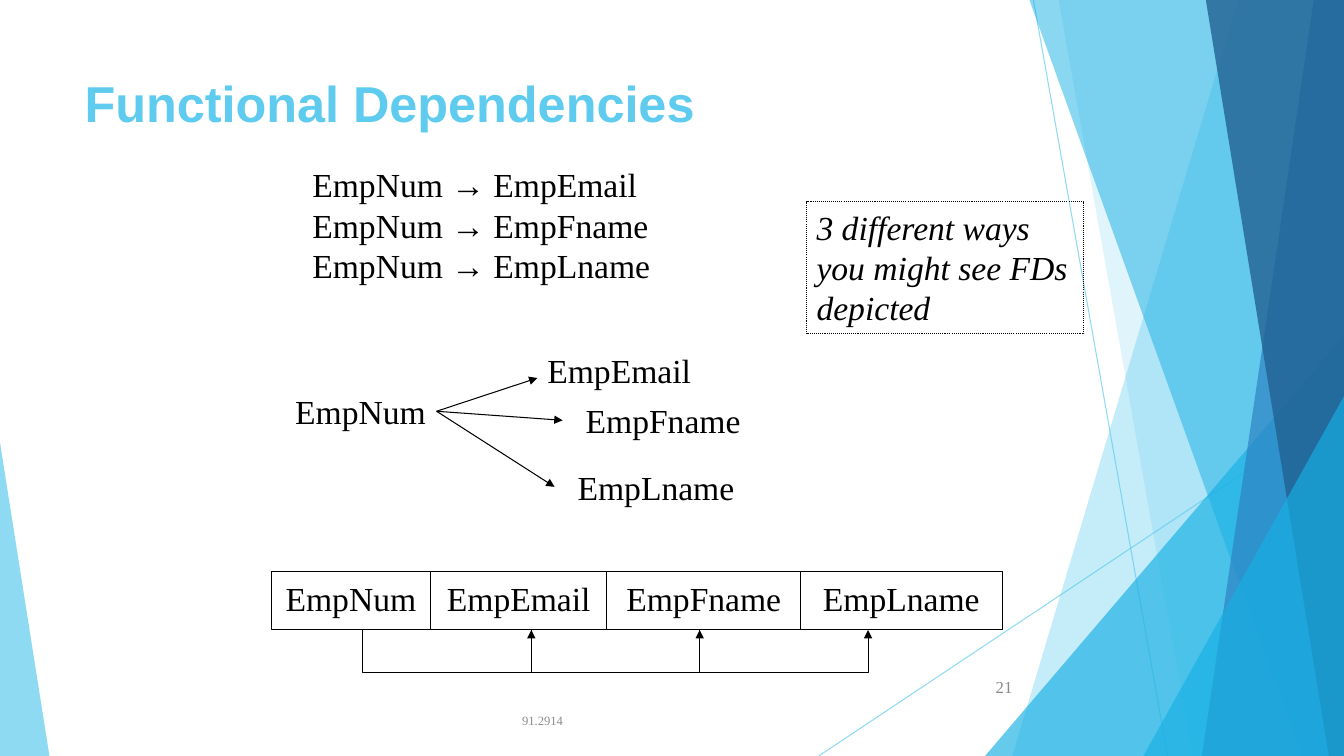
from lxml.etree import SubElement
from pptx import Presentation
from pptx.dml.color import RGBColor
from pptx.enum.dml import MSO_LINE
from pptx.enum.shapes import MSO_CONNECTOR, MSO_SHAPE
from pptx.enum.text import MSO_ANCHOR, PP_ALIGN
from pptx.oxml.ns import qn
from pptx.util import Inches, Pt

COLORS = {"sky": "5FCBEF", "cyan": "17B0E4", "blue": "2E83C3", "navy": "226292",
          "black": "000000", "footer": "8C8C8C", "number": "898989"}
W, H = 13.33, 7.5

RAYS = [((10.25, 0), (11.58, H)), ((W, 4.03), (8.12, H))]
FACETS = [
    ("band", (12.28, 10.04), "sky", 36),
    ("band", (10.5, 11.83), "sky", 20),
    ("triangle", (9.77, 3.33, 3.56, 4.17, 1), "cyan", 66),
    ("band", (10.21, 12.91), "cyan", 50),
    ("band", (13.03, 11.92), "blue", 70),
    ("band", (11.96, 13.18), "navy", 80),
    ("triangle", (11.34, 3.93, 1.99, 3.57, 1), "cyan", 66),
    ("triangle", (0, 4.39, 0.49, 3.11, 0), "sky", 70),
]
BODY = {"size": Pt(24), "name": "Times New Roman"}
TEXTS = [
    (["Functional Dependencies"], (0.74, 0.67, 9.4, 1.44), "sky",
     {"size": Pt(36), "name": "Arial", "bold": True}, {}),
    (["91.2914"], (5.08, 6.95, 3.17, 0.4), "footer", {**BODY, "size": Pt(9)},
     {"vertical_anchor": MSO_ANCHOR.MIDDLE}),
    (["21"], (9.39, 6.61, 0.75, 0.4), "number", {**BODY, "size": Pt(12)},
     {"vertical_anchor": MSO_ANCHOR.MIDDLE, "align": PP_ALIGN.RIGHT}),
    (["EmpNum → EmpEmail", "EmpNum → EmpFname", "EmpNum → EmpLname"],
     (3, 1.58, 3.67, 1.31), "black", BODY, {}),
]
DETERMINANT = ("EmpNum", (2.83, 3.83, 1.5, 0.5))
DEPENDENTS = [
    ("EmpEmail", (5.33, 3.42, 1.75, 0.5), (5.33, 3.75)),
    ("EmpFname", (5.71, 3.92, 1.75, 0.5), (5.58, 4.17)),
    ("EmpLname", (5.63, 4.58, 1.75, 0.5), (5.5, 4.83)),
]
FAN_LAYOUT = {"margin_right": 0}
COLUMNS = [("EmpNum", 1.58), ("EmpEmail", 1.75), ("EmpFname", 1.92), ("EmpLname", 2)]
ROW_LEFT, ROW_TOP, ROW_HEIGHT = 2.69, 5.67, 0.58
BRACKET_LEFT, BRACKET_STEP, BRACKET_DROP = 3.6, 1.67, 0.42
NOTE = ("3 different ways you might see FDs depicted", (8, 2, 2.75, 1.31))


def rgb(name):
    return RGBColor.from_string(COLORS[name])


def set_alpha(sp, percent):
    for clr in sp.element.spPr.iter(qn("a:srgbClr")):
        SubElement(clr, qn("a:alpha"), val=str(percent * 1000))


def outline(sp, color="black"):
    sp.line.color.rgb = rgb(color)
    sp.line.width = Pt(0.75)


def add_arrowhead(sp):
    SubElement(sp.element.spPr.find(qn("a:ln")), qn("a:tailEnd"), type="triangle")


def write(sp, lines, color, font, align=PP_ALIGN.LEFT, **layout):
    tf = sp.text_frame
    frame = {"word_wrap": True, "vertical_anchor": MSO_ANCHOR.TOP, **layout}
    for key, value in frame.items():
        setattr(tf, key, value)
    tf.text = "\n".join(lines)
    for p in tf.paragraphs:
        p.alignment = align
        r = p.runs[0]
        r.font.color.rgb = rgb(color)
        for key, value in font.items():
            setattr(r.font, key, value)


def add_text(s, lines, box, color, font, layout):
    sp = s.shapes.add_textbox(*map(Inches, box))
    write(sp, lines, color, font, **layout)
    return sp


def add_line(s, start, end, color="black"):
    sp = s.shapes.add_connector(MSO_CONNECTOR.STRAIGHT, *map(Inches, start + end))
    outline(sp, color)
    SubElement(sp.element.spPr, qn("a:effectLst"))
    return sp


def add_outline_path(s, points, close):
    pts = [(Inches(x), Inches(y)) for x, y in points]
    builder = s.shapes.build_freeform(*pts[0], scale=1.0)
    builder.add_line_segments(pts[1:], close=close)
    sp = builder.convert_to_shape()
    sp.shadow.inherit = False
    return sp


def add_box(s, box):
    sp = s.shapes.add_shape(MSO_SHAPE.RECTANGLE, *map(Inches, box))
    sp.shadow.inherit = False
    sp.fill.background()
    outline(sp)
    return sp


def add_backdrop(s):
    for start, end in RAYS:
        set_alpha(add_line(s, start, end, "sky"), 70)
    for kind, geometry, color, percent in FACETS:
        if kind == "band":
            top, bottom = geometry
            sp = add_outline_path(s, [(top, 0), (W, 0), (W, H), (bottom, H)], True)
        else:
            *box, apex = geometry
            sp = s.shapes.add_shape(MSO_SHAPE.ISOSCELES_TRIANGLE, *map(Inches, box))
            sp.adjustments[0] = apex
            sp.shadow.inherit = False
        sp.fill.solid()
        sp.fill.fore_color.rgb = rgb(color)
        sp.line.fill.background()
        set_alpha(sp, percent)


def add_fan(s):
    name, box = DETERMINANT
    source = add_text(s, [name], box, "black", BODY, FAN_LAYOUT)
    start = (box[0] + box[2], box[1] + box[3] / 2)
    for name, box, tip in DEPENDENTS:
        add_text(s, [name], box, "black", BODY, FAN_LAYOUT)
        arrow = add_line(s, start, tip)
        arrow.begin_connect(source, 3)
        add_arrowhead(arrow)


def add_relation(s):
    left = ROW_LEFT
    for name, width in COLUMNS:
        cell = add_box(s, (left, ROW_TOP, width, ROW_HEIGHT))
        write(cell, [name], "black", BODY, align=PP_ALIGN.CENTER,
              vertical_anchor=MSO_ANCHOR.MIDDLE, margin_left=0, margin_right=0,
              margin_bottom=Inches(0.1))
        left += width
    top = ROW_TOP + ROW_HEIGHT
    low = top + BRACKET_DROP
    for i in range(len(COLUMNS) - 1):
        a = BRACKET_LEFT + i * BRACKET_STEP
        b = a + BRACKET_STEP
        bracket = add_outline_path(s, [(a, top), (a, low), (b, low), (b, top)], False)
        bracket.fill.background()
        outline(bracket)
        add_arrowhead(bracket)


def main():
    """Build the functional dependencies slide."""
    prs = Presentation()
    prs.slide_width, prs.slide_height = Inches(W), Inches(H)
    s = prs.slides.add_slide(prs.slide_layouts[6])
    add_backdrop(s)
    for text in TEXTS:
        add_text(s, *text)
    add_fan(s)
    add_relation(s)
    note, box = NOTE
    sp = add_box(s, box)
    sp.line.dash_style = MSO_LINE.ROUND_DOT
    write(sp, [note], "black", {**BODY, "italic": True})
    prs.save("out.pptx")


if __name__ == "__main__":
    main()
